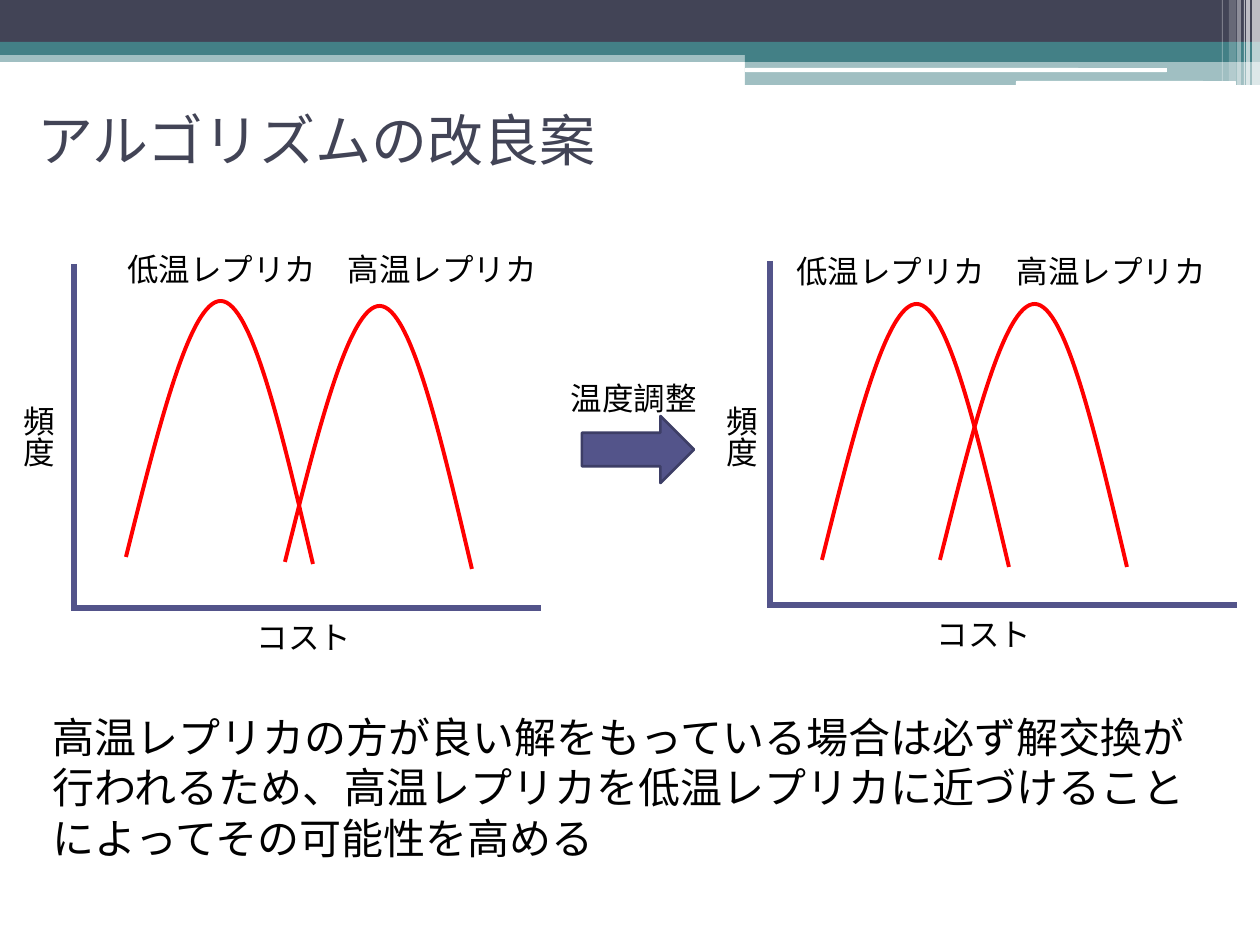
from lxml import etree
from pptx import Presentation
from pptx.dml.color import RGBColor
from pptx.enum import shapes as kinds, text as txt
from pptx.oxml.ns import qn
from pptx.util import Pt

PX = 914400 / 126
COLORS = {"navy": "424456", "teal": "438086", "white": "FFFFFF", "violet": "53548A",
          "edge": "3D3E66", "red": "FF0000", "black": "000000"}
HUMP = [(0, 256), (32, 128), (64, -1), (95, 0), (126, 1), (156, 132), (187, 263)]


def px(*lengths):
    """Turn px lengths into EMU."""
    return [round(length * PX) for length in lengths]


def color(name):
    """Look up a named colour."""
    return RGBColor.from_string(COLORS[name])


def add_text(slide, box, words, size=18, ink="black", font="TeX Gyre Schola",
             align="LEFT", anchor="TOP", vertical=False):
    """Place a formatted text box."""
    frame = slide.shapes.add_textbox(*px(*box)).text_frame
    frame.word_wrap = True
    frame.vertical_anchor = txt.MSO_ANCHOR[anchor]
    if vertical:
        frame._txBody.bodyPr.set("vert", "eaVert")
    paragraph = frame.paragraphs[0]
    paragraph.alignment = txt.PP_ALIGN[align]
    run = paragraph.add_run()
    run.text = words
    run.font.size, run.font.name = Pt(size), font
    run.font.color.rgb = color(ink)


def add_block(slide, box, fill, alpha=100, kind="RECTANGLE"):
    """Place a filled shape without outline or shadow."""
    block = slide.shapes.add_shape(kinds.MSO_SHAPE[kind], *px(*box))
    block.shadow.inherit = False
    block.fill.solid()
    block.fill.fore_color.rgb = color(fill)
    block.line.fill.background()
    if alpha < 100:
        tone = block._element.spPr.find(qn("a:solidFill"))[0]
        etree.SubElement(tone, qn("a:alpha")).set("val", str(alpha * 1000))
    return block


def add_axis(slide, start, end):
    """Draw one straight axis."""
    axis = slide.shapes.add_connector(kinds.MSO_CONNECTOR.STRAIGHT, *px(*start, *end))
    axis.line.color.rgb, axis.line.width = color("violet"), Pt(3)
    etree.SubElement(axis._element.spPr, qn("a:effectLst"))


def add_hump(slide, left, top):
    """Draw one bell curve by joining its control points into cubic segments."""
    start, *controls = [px(left + x, top + y) for x, y in HUMP]
    builder = slide.shapes.build_freeform(*start)
    builder.add_line_segments(controls, close=False)
    hump = builder.convert_to_shape()
    hump.shadow.inherit = False
    hump.fill.background()
    hump.line.color.rgb, hump.line.width = color("red"), Pt(2.25)
    outline = next(hump._element.iter(qn("a:moveTo"))).getparent()
    segments = outline.findall(qn("a:lnTo"))
    for first in range(0, len(segments), 3):
        curve = etree.SubElement(outline, qn("a:cubicBezTo"))
        for segment in segments[first:first + 3]:
            curve.append(segment[0])
            outline.remove(segment)


def add_header(slide, width):
    """Draw the band across the top with its streaks."""
    step = 745
    for box, fill, alpha in [
        ((0, 55, step, 7), "teal", 50),
        ((0, 0, width, 42), "navy", 100),
        ((0, 42, width, 13), "teal", 100),
        ((step, 55, width - step, 7), "teal", 100),
        ((step, 62, width - step, 23), "teal", 50),
    ]:
        add_block(slide, box, fill, alpha)
    for box in [(step, 68, 422, 4), (1016, 81, 220, 5)]:
        add_block(slide, box, "white", kind="ROUNDED_RECTANGLE")
    for left, wide, tall, alpha in [(1252, 8, 85, 65), (1246, 4, 85, 65), (1244, 1, 85, 60),
                                    (1237, 4, 85, 40), (1229, 7, 81, 20), (1222, 1, 81, 30)]:
        add_block(slide, (left, 0, wide, tall), "white", alpha)


def add_histogram(slide, box, humps, replica, cost, frequency):
    """Draw axes, two bell curves and labels relative to the box."""
    left, top, width, height = box
    add_axis(slide, (left, top), (left, top + height + 3))
    add_axis(slide, (left + width, top + height), (left, top + height))
    for x, y in humps:
        add_hump(slide, left + x, top + y)
    add_text(slide, (left + replica[0], top + replica[1], 476, 50), "低温レプリカ　高温レプリカ")
    add_text(slide, (left + cost - 90, top + height + 4, 180, 50), "コスト", align="CENTER")
    add_text(slide, (left + frequency, 393, 63, 134), "頻度", vertical=True)


def add_adjustment(slide, box):
    """Draw the captioned arrow between the histograms."""
    left, top, width, height = box
    arrow = add_block(slide, (left + 49, top + 43, 112, 67), "violet", kind="RIGHT_ARROW")
    arrow.line.color.rgb, arrow.line.width = color("edge"), Pt(1.5)
    add_text(slide, (left, top, width, 50), "温度調整", align="CENTER")


def main():
    """Build and save the slide."""
    deck = Presentation()
    deck.slide_width, deck.slide_height = px(1260, 945)
    slide = deck.slides.add_slide(deck.slide_layouts[6])
    add_header(slide, 1260)
    add_text(slide, (25, 66, 1134, 147), "アルゴリズムの改良案", size=32, ink="navy",
             font="Karla", anchor="MIDDLE")
    add_histogram(slide, (74, 264, 467, 344), [(52, 37), (211, 42)], (41, -20), 230, -74)
    add_histogram(slide, (770, 261, 467, 344), [(52, 43), (170, 43)], (14, -15), 214, -67)
    add_adjustment(slide, (533, 373, 202, 110))
    add_text(slide, (40, 705, 1196, 170),
             "高温レプリカの方が良い解をもっている場合は必ず解交換が行われるため、"
             "高温レプリカを低温レプリカに近づけることによってその可能性を高める", size=24)
    deck.save("out.pptx")


if __name__ == "__main__":
    main()
